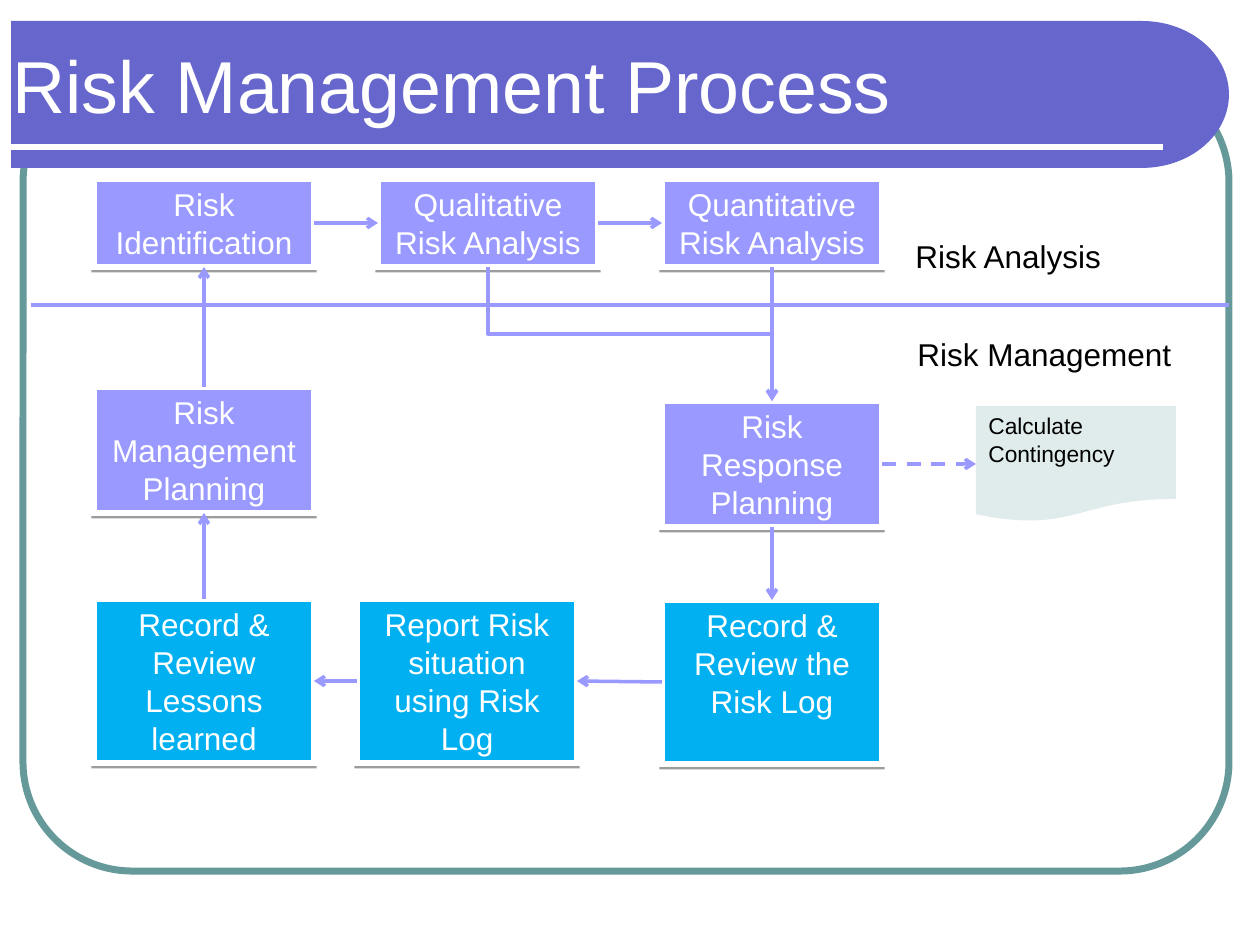
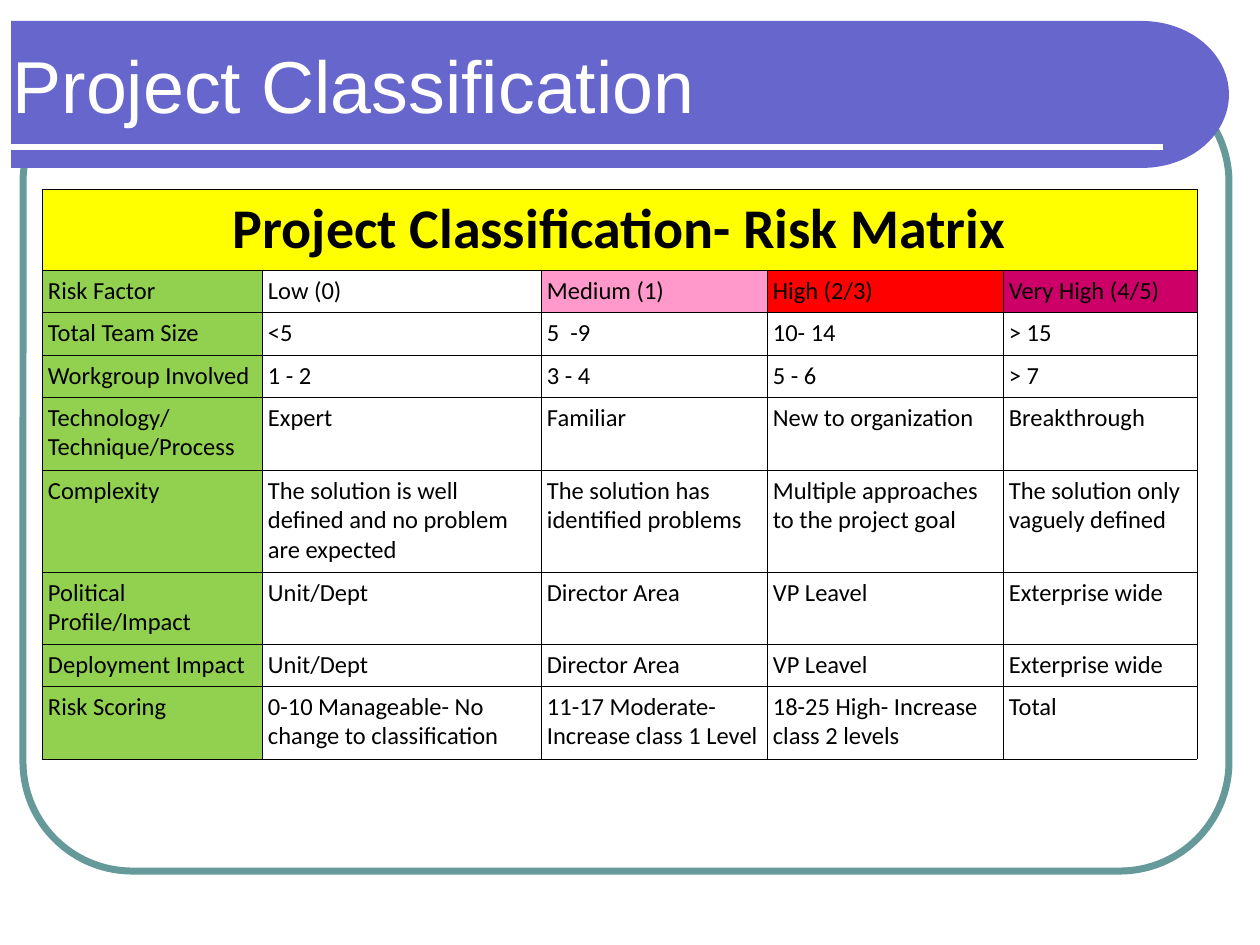
"""Builds two risk management slides: a process flow and a risk matrix."""
from math import cos, pi, sin

from lxml import etree
from pptx import Presentation
from pptx.dml.color import RGBColor
from pptx.enum.dml import MSO_LINE
from pptx.enum.shapes import MSO_CONNECTOR, MSO_SHAPE
from pptx.enum.text import MSO_ANCHOR, MSO_AUTO_SIZE, PP_ALIGN
from pptx.oxml.ns import qn
from pptx.util import Emu, Pt

STRAIGHT, ELBOW = MSO_CONNECTOR.STRAIGHT, MSO_CONNECTOR.ELBOW
RECT, ROUNDED = MSO_SHAPE.RECTANGLE, MSO_SHAPE.ROUNDED_RECTANGLE
DOCUMENT = MSO_SHAPE.FLOWCHART_DOCUMENT
DASH = MSO_LINE.DASH
TOP, MIDDLE = MSO_ANCHOR.TOP, MSO_ANCHOR.MIDDLE
LEFT, CENTER = PP_ALIGN.LEFT, PP_ALIGN.CENTER
NO_FIT, GROW = MSO_AUTO_SIZE.NONE, MSO_AUTO_SIZE.SHAPE_TO_FIT_TEXT
SITE_TOP, SITE_LEFT, SITE_BOTTOM, SITE_RIGHT = range(4)

COLORS = {
    "white": "FFFFFF", "black": "000000", "band": "6666CC", "frame": "669999",
    "plan": "9999FF", "record": "00B0F0", "document": "E0EBEB",
    "heading": "FFFF00", "factor": "92D050", "medium": "FF99CC",
    "high": "FF0000", "very high": "CC0066",
}
PX = 914400 / 126

BOX_W = 220
COL_1, COL_2, COL_3 = 94, 378, 662
BOXES = {
    "identify": ("Risk Identification", COL_1, 179, 88, "plan"),
    "qualitative": ("Qualitative Risk Analysis", COL_2, 179, 88, "plan"),
    "quantitative": ("Quantitative Risk Analysis", COL_3, 179, 88, "plan"),
    "planning": ("Risk Management Planning", COL_1, 387, 126, "plan"),
    "lessons": ("Record & Review Lessons learned", COL_1, 599, 164, "record"),
    "report": ("Report Risk situation using Risk Log", 357, 599, 164, "record"),
    "log": ("Record & Review the Risk Log", COL_3, 600, 164, "record"),
    "response": ("Risk Response Planning", COL_3, 401, 126, "plan"),
}
CONTINGENCY = ("Calculate Contingency", 976, 406, 200, 116)
LINKS = [
    ("quantitative", SITE_BOTTOM, "response", SITE_TOP),
    ("identify", SITE_RIGHT, "qualitative", SITE_LEFT),
    ("qualitative", SITE_RIGHT, "quantitative", SITE_LEFT),
    ("planning", SITE_TOP, "identify", SITE_BOTTOM),
    ("report", SITE_LEFT, "lessons", SITE_RIGHT),
    ("lessons", SITE_TOP, "planning", SITE_BOTTOM),
    ("response", SITE_RIGHT, "contingency", SITE_LEFT),
    ("response", SITE_BOTTOM, "log", SITE_TOP),
    ("log", SITE_LEFT, "report", SITE_RIGHT),
]
AREAS = [("Risk Analysis", 903, 231, 212, 50), ("Risk Management", 905, 329, 282, 50)]

MATRIX_TITLE = "Project Classification- Risk Matrix"
MATRIX = [
    ("Risk Factor", "Low (0)", "Medium (1)", "High (2/3)", "Very High (4/5)"),
    ("Total Team Size", "<5", "5  -9", "10- 14", "> 15"),
    ("Workgroup Involved", "1 - 2", "3 - 4", "5 - 6", "> 7"),
    ("Technology/ Technique/Process", "Expert", "Familiar", "New to organization",
     "Breakthrough"),
    ("Complexity", "The solution is well defined and no problem are expected",
     "The solution has identified problems", "Multiple approaches to the project goal",
     "The solution only vaguely defined"),
    ("Political Profile/Impact", "Unit/Dept", "Director Area", "VP Leavel",
     "Exterprise wide"),
    ("Deployment Impact", "Unit/Dept", "Director Area", "VP Leavel", "Exterprise wide"),
    ("Risk Scoring", "0-10 Manageable- No change to classification",
     "11-17 Moderate- Increase class 1 Level", "18-25 High- Increase class 2 levels",
     "Total"),
]
LEVEL_FILLS = ["factor", None, "medium", "high", "very high"]
COL_WIDTHS = [220, 279, 226, 236, 194]
ROW_HEIGHTS = [81, 42, 43, 42, 73, 102, 72, 42, 73]


def px(*values):
    """Turn pixel lengths into EMU."""
    return [Emu(round(v * PX)) for v in values]


def rgb(name):
    """Look up a colour by name."""
    return RGBColor.from_string(COLORS[name])


def write(tf, text, size, color, font="Arial", align=LEFT, bold=False):
    """Write one run into the first paragraph of a text frame."""
    p = tf.paragraphs[0]
    p.alignment = align
    r = p.add_run()
    r.text = text
    r.font.size, r.font.name, r.font.bold = Pt(size), font, bold
    r.font.color.rgb = rgb(color)


def add_box(slide, kind, x, y, w, h, fill=None, line=None, width=3):
    """Add a preset shape with sharp line joins and no shadow."""
    sp = slide.shapes.add_shape(kind, *px(x, y, w, h))
    sp.shadow.inherit = False
    if fill:
        sp.fill.solid()
        sp.fill.fore_color.rgb = rgb(fill)
    else:
        sp.fill.background()
    if line:
        sp.line.color.rgb = rgb(line)
        sp.line.width = Pt(width)
        etree.SubElement(sp.line._get_or_add_ln(), qn("a:miter"), lim="800000")
    else:
        sp.line.fill.background()
    sp.text_frame.word_wrap = True
    sp.text_frame.vertical_anchor = TOP
    return sp


def drop_shadow(sp):
    """Give a shape a thin hard shadow straight below it."""
    effects = sp._element.spPr.find(qn("a:effectLst"))
    shadow = etree.SubElement(effects, qn("a:outerShdw"), blurRad="0", dist=str(Pt(1.6)),
                              dir="5400000", algn="ctr", rotWithShape="0")
    color = etree.SubElement(shadow, qn("a:srgbClr"), val=COLORS["black"])
    etree.SubElement(color, qn("a:alpha"), val="38000")


def add_line(slide, x1, y1, x2, y2, color="plan", width=2, kind=STRAIGHT, dash=None,
             arrow=False):
    """Add a connector, with an arrowhead at its end if asked."""
    line = slide.shapes.add_connector(kind, *px(x1, y1, x2, y2))
    line.line.color.rgb = rgb(color)
    line.line.width = Pt(width)
    if dash:
        line.line.dash_style = dash
    if arrow:
        etree.SubElement(line.line._get_or_add_ln(), qn("a:tailEnd"), type="arrow")
    etree.SubElement(line._element.spPr, qn("a:effectLst"))
    return line


def add_down_elbow(slide, x1, y1, x2, y2):
    """Add an elbow arrow that leaves and arrives vertically."""
    cx, cy, dx, dy = (x1 + x2) / 2, (y1 + y2) / 2, (x2 - x1) / 2, (y2 - y1) / 2
    line = add_line(slide, cx - dy, cy - dx, cx + dy, cy + dx, kind=ELBOW, arrow=True)
    xfrm = line._element.spPr.find(qn("a:xfrm"))
    xfrm.set("rot", "16200000")
    xfrm.set("flipH", "1")


def add_slide(prs, title):
    """Add a slide with the frame, the round-ended band and the title."""
    slide = prs.slides.add_slide(prs.slide_layouts[5])
    frame = add_box(slide, ROUNDED, 23, 73, 1206, 798, line="frame", width=4)
    frame.adjustments[0] = 0.137

    left, top, bottom, cap_x, cap_w = 11, 21, 168, 1142, 87
    mid, half = (top + bottom) / 2, (bottom - top) / 2
    steps = 60
    angles = [pi * i / steps - pi / 2 for i in range(steps + 1)]
    cap = [px(cap_x + cap_w * cos(a), mid + half * sin(a)) for a in angles]
    builder = slide.shapes.build_freeform(*px(left, top))
    builder.add_line_segments(cap + [px(left, bottom)], close=True)
    band = builder.convert_to_shape()
    band.shadow.inherit = False
    band.fill.solid()
    band.fill.fore_color.rgb = rgb("band")
    band.line.fill.background()
    add_line(slide, 10, 147, 1163, 147, "white", 3)

    sp = slide.shapes.title
    sp.left, sp.top, sp.width, sp.height = px(0, 32, 1105, 104)
    tf = sp.text_frame
    tf.auto_size, tf.vertical_anchor, tf.word_wrap = NO_FIT, MIDDLE, True
    write(tf, title, 42, "white")
    slide.shapes._spTree.append(sp._element)
    return slide


def build_process(prs):
    """Build the flow of the risk management process."""
    slide = add_slide(prs, "Risk Management Process")
    nodes = {}
    for key, (text, x, y, h, fill) in BOXES.items():
        sp = nodes[key] = add_box(slide, RECT, x, y, BOX_W, h, fill, "white")
        drop_shadow(sp)
        write(sp.text_frame, text, 18, "white", align=CENTER)
    text, *place = CONTINGENCY
    sp = nodes["contingency"] = add_box(slide, DOCUMENT, *place, "document")
    write(sp.text_frame, text, 13, "black")

    add_line(slide, 31, 305, 1229, 305)
    for start, start_site, end, end_site in LINKS:
        line = add_line(slide, 0, 0, 0, 0, arrow=True,
                        dash=DASH if end == "contingency" else None)
        line.begin_connect(nodes[start], start_site)
        line.end_connect(nodes[end], end_site)
    _, x1, y1, h1, _ = BOXES["qualitative"]
    _, x2, y2, _, _ = BOXES["response"]
    add_down_elbow(slide, x1 + BOX_W / 2, y1 + h1, x2 + BOX_W / 2, y2)

    for text, *place in AREAS:
        tf = slide.shapes.add_textbox(*px(*place)).text_frame
        tf.word_wrap, tf.auto_size = False, GROW
        write(tf, text, 18, "black")


def format_cell(cell, fill):
    """Set the margins, black hairline borders and fill of a cell."""
    cell.margin_left, cell.margin_right, cell.margin_top, cell.margin_bottom = px(6, 6, 6, 6)
    tc_pr = cell._tc.get_or_add_tcPr()
    for side in ("lnL", "lnR", "lnT", "lnB"):
        ln = etree.SubElement(tc_pr, qn("a:" + side), w=str(Pt(0.25)))
        solid = etree.SubElement(ln, qn("a:solidFill"))
        etree.SubElement(solid, qn("a:srgbClr"), val=COLORS["black"])
    if fill:
        cell.fill.solid()
        cell.fill.fore_color.rgb = rgb(fill)
    else:
        cell.fill.background()


def build_matrix(prs):
    """Build the risk matrix table."""
    slide = add_slide(prs, "Project Classification")
    place = px(42, 189, sum(COL_WIDTHS), sum(ROW_HEIGHTS))
    table = slide.shapes.add_table(len(ROW_HEIGHTS), len(COL_WIDTHS), *place).table
    table.first_row = table.horz_banding = False
    for col, w in zip(table.columns, px(*COL_WIDTHS)):
        col.width = w
    for row, h in zip(table.rows, px(*ROW_HEIGHTS)):
        row.height = h

    for cell in table.rows[0].cells:
        format_cell(cell, "heading")
    heading = table.cell(0, 0)
    heading.merge(table.cell(0, len(COL_WIDTHS) - 1))
    write(heading.text_frame, MATRIX_TITLE, 32, "black", "Calibri", CENTER, True)
    for i, texts in enumerate(MATRIX, 1):
        for j, text in enumerate(texts):
            cell = table.cell(i, j)
            format_cell(cell, LEVEL_FILLS[j] if i == 1 or j == 0 else None)
            write(cell.text_frame, text, 14, "black", "Calibri")


def main():
    """Build and save the presentation."""
    prs = Presentation()
    prs.slide_width, prs.slide_height = px(1260, 945)
    build_process(prs)
    build_matrix(prs)
    prs.save("out.pptx")


if __name__ == "__main__":
    main()
